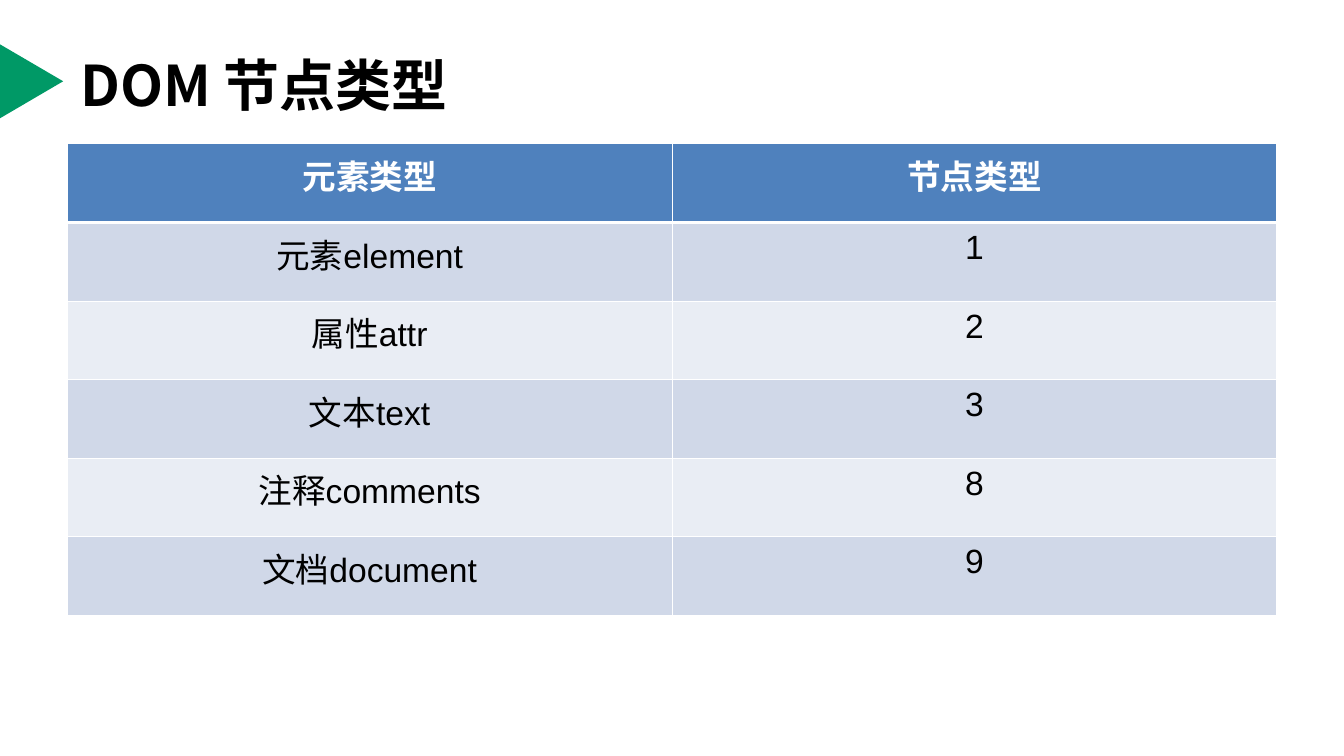
from lxml import etree
from pptx import Presentation
from pptx.dml.color import RGBColor
from pptx.enum.shapes import MSO_SHAPE
from pptx.enum.text import MSO_ANCHOR, PP_ALIGN
from pptx.oxml.ns import qn
from pptx.util import Inches, Pt

TRIANGLE = MSO_SHAPE.ISOSCELES_TRIANGLE
BOTTOM = MSO_ANCHOR.BOTTOM
CENTER = PP_ALIGN.CENTER

GREEN = RGBColor(0x00, 0x99, 0x66)
BLUE = RGBColor(0x4F, 0x81, 0xBD)
BAND_DARK = RGBColor(0xD0, 0xD8, 0xE8)
BAND_LIGHT = RGBColor(0xE9, 0xED, 0xF4)
WHITE = RGBColor(0xFF, 0xFF, 0xFF)
BLACK = RGBColor(0x00, 0x00, 0x00)

LATIN_FONT = "Arial"
CJK_FONT = "Noto Sans CJK SC"

TITLE = "DOM 节点类型"
ROWS = [
    ("元素类型", "节点类型"),
    ("元素element", "1"),
    ("属性attr", "2"),
    ("文本text", "3"),
    ("注释comments", "8"),
    ("文档document", "9"),
]
SLIDE_WIDTH = 10
SLIDE_HEIGHT = SLIDE_WIDTH * 9 / 16
LEFT, WIDTH = 0.5, 9
TABLE_TOP, TABLE_HEIGHT = 1.07, 3.51
THIN, THICK = 0.45, 1.47


def format_run(r, font, size, color, bold):
    r.font.name = font
    r.font.size = Pt(size)
    r.font.bold = bold
    r.font.color.rgb = color
    ea = etree.SubElement(r.font._element, qn("a:ea"))
    ea.set("typeface", CJK_FONT)


def set_borders(cell, top, bottom):
    tc_pr = cell._tc.get_or_add_tcPr()
    widths = {"lnL": THIN, "lnR": THIN, "lnT": top, "lnB": bottom}
    for i, (side, width) in enumerate(widths.items()):
        ln = etree.Element(qn(f"a:{side}"), w=str(Pt(width)))
        fill = etree.SubElement(ln, qn("a:solidFill"))
        etree.SubElement(fill, qn("a:srgbClr"), val=str(WHITE))
        tc_pr.insert(i, ln)


def add_marker(s):
    sp = s.shapes.add_shape(TRIANGLE, Inches(-0.04), Inches(0.37), Inches(0.55), Inches(0.47))
    sp.rotation = 90
    sp.shadow.inherit = False
    sp.fill.solid()
    sp.fill.fore_color.rgb = GREEN
    sp.line.fill.background()


def add_node_table(s):
    table = s.shapes.add_table(
        len(ROWS), len(ROWS[0]),
        Inches(LEFT), Inches(TABLE_TOP), Inches(WIDTH), Inches(TABLE_HEIGHT),
    ).table
    for i, row in enumerate(ROWS):
        header = i == 0
        fill = BLUE if header else BAND_DARK if i % 2 else BAND_LIGHT
        for j, text in enumerate(row):
            cell = table.cell(i, j)
            cell.fill.solid()
            cell.fill.fore_color.rgb = fill
            set_borders(cell, THICK if i == 1 else THIN, THICK if header else THIN)
            cell.text = text
            p = cell.text_frame.paragraphs[0]
            p.alignment = CENTER
            format_run(p.runs[0], LATIN_FONT, 18, WHITE if header else BLACK, header)


def add_title(s):
    sp = s.shapes.add_textbox(Inches(LEFT), Inches(0.35), Inches(WIDTH), Inches(0.58))
    tf = sp.text_frame
    tf.word_wrap = True
    tf.vertical_anchor = BOTTOM
    tf.text = TITLE
    p = tf.paragraphs[0]
    p.line_spacing = 0.9
    format_run(p.runs[0], CJK_FONT, 30, BLACK, True)


def main():
    prs = Presentation()
    prs.slide_width = Inches(SLIDE_WIDTH)
    prs.slide_height = Inches(SLIDE_HEIGHT)
    s = prs.slides.add_slide(prs.slide_layouts[6])
    add_marker(s)
    add_node_table(s)
    add_title(s)
    prs.save("out.pptx")


if __name__ == "__main__":
    main()
